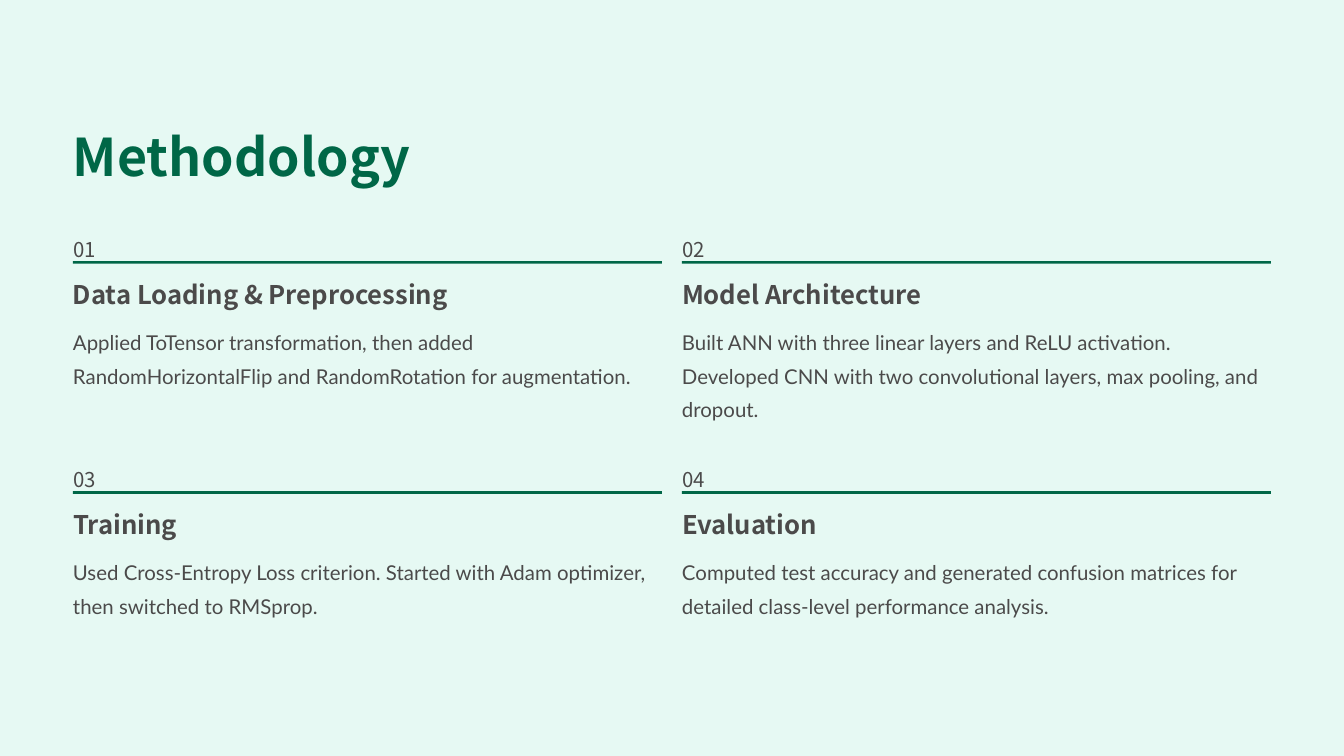
from dataclasses import dataclass

from pptx import Presentation
from pptx.dml.color import RGBColor
from pptx.enum.shapes import MSO_SHAPE
from pptx.enum.text import MSO_AUTO_SIZE
from pptx.util import Pt


@dataclass(frozen=True)
class TextStyle:
    font: str
    size: float
    line: float
    color: str
    bold: bool = False


@dataclass(frozen=True)
class Theme:
    background: str = "E6F9F3"
    accent: str = "006747"
    title: TextStyle = TextStyle("Noto Sans CJK SC", 44.5, 55.5, "006747", True)
    number: TextStyle = TextStyle("Noto Sans CJK SC", 17.5, 28.5, "4B4A4A")
    heading: TextStyle = TextStyle("Noto Sans CJK SC", 22, 27.5, "4B4A4A", True)
    body: TextStyle = TextStyle("Lato", 17.5, 28.5, "4B4A4A")


@dataclass(frozen=True)
class Step:
    heading: str
    body: str
    heading_width: float = 223


STEPS = [
    Step("Data Loading & Preprocessing",
         "Applied ToTensor transformation, then added RandomHorizontalFlip "
         "and RandomRotation for augmentation.", 341),
    Step("Model Architecture",
         "Built ANN with three linear layers and ReLU activation. Developed CNN "
         "with two convolutional layers, max pooling, and dropout."),
    Step("Training",
         "Used Cross-Entropy Loss criterion. Started with Adam optimizer, "
         "then switched to RMSprop."),
    Step("Evaluation",
         "Computed test accuracy and generated confusion matrices for "
         "detailed class-level performance analysis."),
]

LEFT = 62.6
TOP = 195.9
COLUMN_WIDTH = 504.8
COLUMN_PITCH = 522
ROW_PITCH = 197.2
BODY_HEIGHTS = (85.7, 57)


class SlideBuilder:
    def __init__(self, page, theme):
        self.page = page
        self.theme = theme
        fill = page.background.fill
        fill.solid()
        fill.fore_color.rgb = RGBColor.from_string(theme.background)

    def text(self, content, left, top, width, height, style, wrap=False):
        box = self.page.shapes.add_textbox(Pt(left), Pt(top), Pt(width), Pt(height))
        frame = box.text_frame
        frame.margin_left = frame.margin_right = 0
        frame.margin_top = frame.margin_bottom = 0
        frame.word_wrap = wrap
        frame.auto_size = MSO_AUTO_SIZE.NONE
        para = frame.paragraphs[0]
        para.text = content
        para.line_spacing = Pt(style.line)
        para.font.name = style.font
        para.font.size = Pt(style.size)
        para.font.bold = style.bold
        para.font.color.rgb = RGBColor.from_string(style.color)

    def rule(self, left, top, width):
        bar = self.page.shapes.add_shape(
            MSO_SHAPE.RECTANGLE, Pt(left), Pt(top), Pt(width), Pt(2.2))
        bar.shadow.inherit = False
        bar.fill.solid()
        bar.fill.fore_color.rgb = RGBColor.from_string(self.theme.accent)
        bar.line.fill.background()

    def step(self, index, step):
        """Place one numbered step in the two-column grid, row by row."""
        row, column = divmod(index, 2)
        left = LEFT + column * COLUMN_PITCH
        top = TOP + row * ROW_PITCH
        self.text(f"{index + 1:02}", left, top, 18, 22.3, self.theme.number)
        self.rule(left, top + 28, COLUMN_WIDTH)
        self.text(step.heading, left, top + 41.7, step.heading_width, 28,
                  self.theme.heading)
        self.text(step.body, left, top + 79.9, COLUMN_WIDTH, BODY_HEIGHTS[row],
                  self.theme.body, wrap=True)


def main():
    deck = Presentation()
    deck.slide_width, deck.slide_height = Pt(1152), Pt(648)
    theme = Theme()
    builder = SlideBuilder(deck.slides.add_slide(deck.slide_layouts[6]), theme)
    builder.text("Methodology", LEFT, 104.4, 446.4, 56.2, theme.title)
    for index, step in enumerate(STEPS):
        builder.step(index, step)
    deck.save("out.pptx")


if __name__ == "__main__":
    main()
